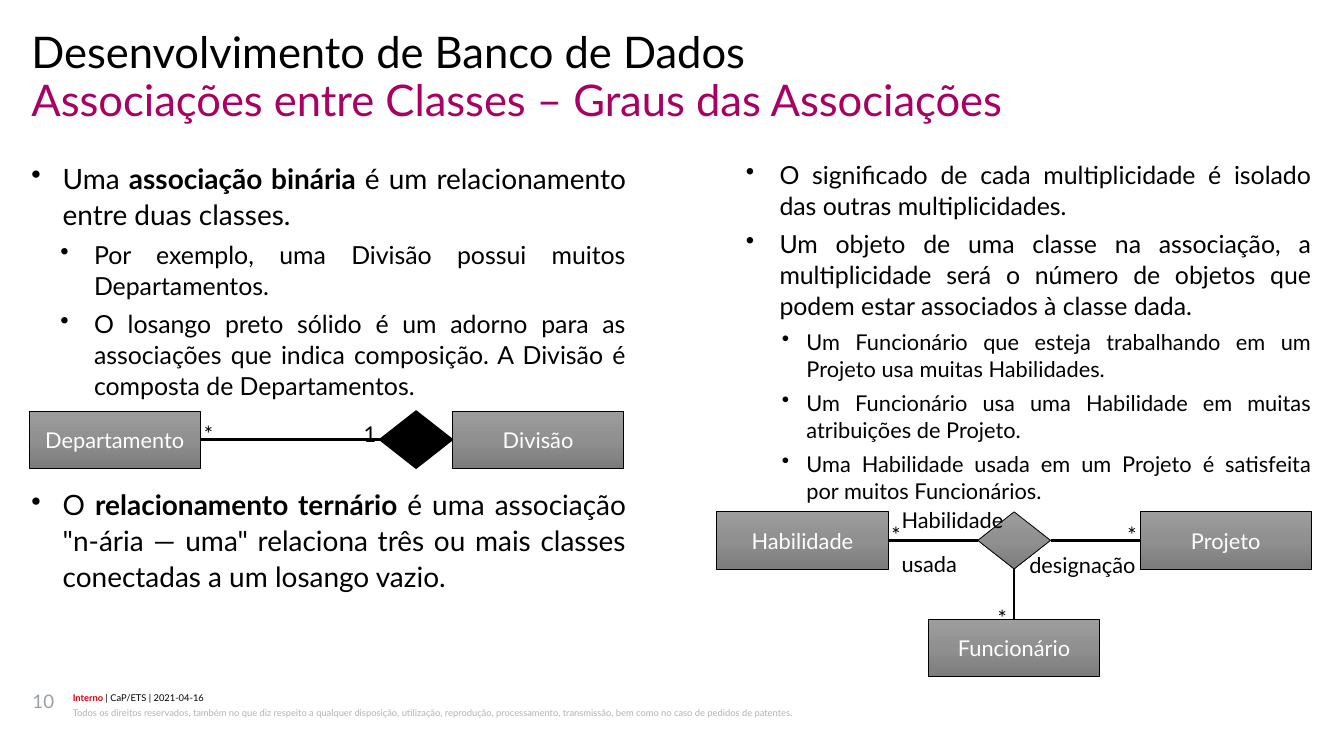
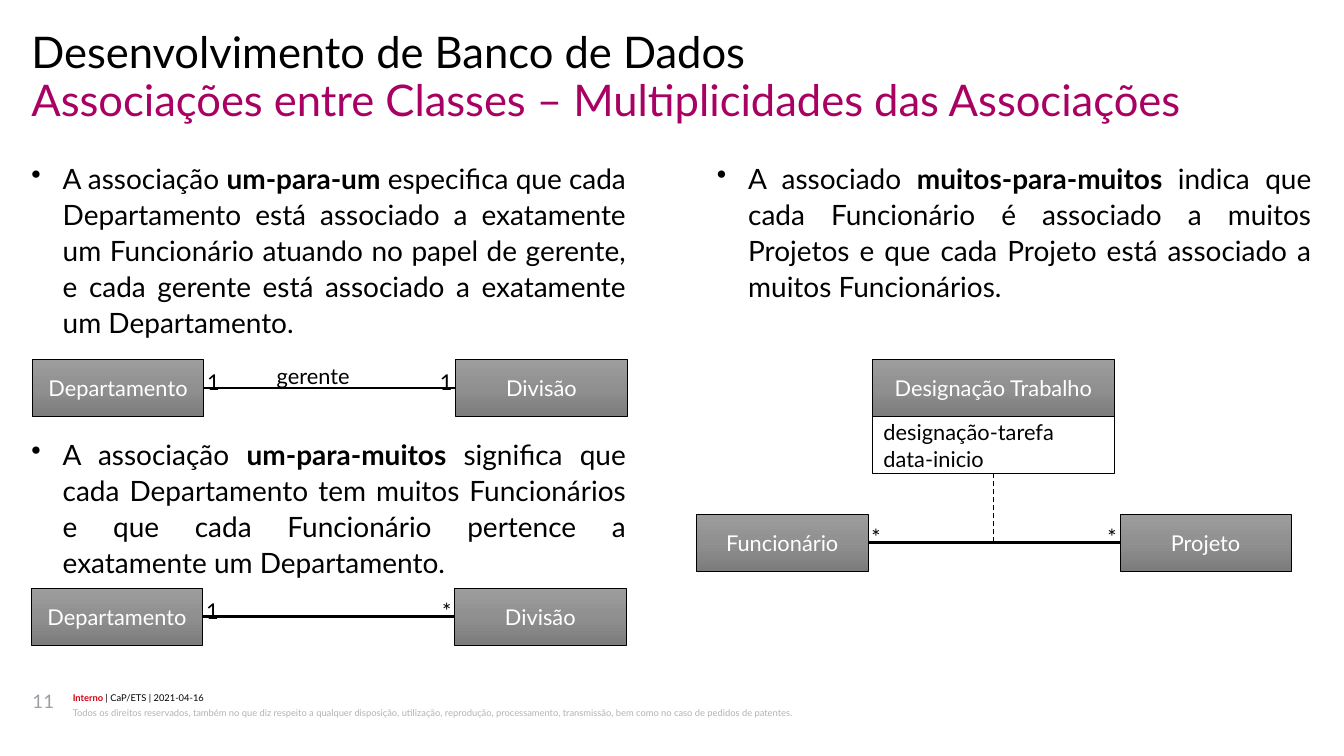
"""Build two slides on the degrees and multiplicities of class associations."""
from copy import deepcopy

from pptx import Presentation
from pptx.dml.color import RGBColor
from pptx.enum.dml import MSO_LINE
from pptx.enum.shapes import MSO_CONNECTOR, MSO_SHAPE as SHAPE
from pptx.enum.text import MSO_ANCHOR as ANCHOR, MSO_AUTO_SIZE, PP_ALIGN as ALIGN
from pptx.oxml.ns import qn
from pptx.util import Inches, Pt
from lxml import etree

FONT = "Lato"
BLACK, WHITE, MAGENTA, RED = "000000", "FFFFFF", "A80163", "D70012"
PAGE_GREY, NOTE_GREY = "999FA6", "B2B3B5"
GRADIENT = [(0, "9D9D9D"), (0.5, "909090"), (1, "7C7C7C")]

COURSE = "Desenvolvimento de Banco de Dados"
CLASSIFICATION = "**Interno** | CaP/ETS | 2021-04-16"
RIGHTS = ("Todos os direitos reservados, também no que diz respeito a qualquer disposição, "
          "utilização, reprodução, processamento, transmissão, bem como no caso de pedidos "
          "de patentes.")

# Body items: level, space before in points, text with **bold** parts
DEGREES = {
    "number": 10,
    "title": "Associações entre Classes – Graus das Associações",
    "left": [
        (0, 5, "Uma **associação binária **é um relacionamento entre duas classes."),
        (1, 5, "Por exemplo, uma Divisão possui muitos Departamentos."),
        (1, 5, "O losango preto sólido é um adorno para as associações que indica "
               "composição. A Divisão é composta de Departamentos."),
        (0, 55, "O **relacionamento ternário **é uma associação \"n-ária — uma\" relaciona "
                "três ou mais classes conectadas a um losango vazio."),
    ],
    "right": [
        (1, 5, "O significado de cada multiplicidade é isolado das outras multiplicidades."),
        (1, 5, "Um objeto de uma classe na associação, a multiplicidade será o número de "
               "objetos que podem estar associados à classe dada."),
        (2, 5, "Um Funcionário que esteja trabalhando em um Projeto usa muitas Habilidades."),
        (2, 5, "Um Funcionário usa uma Habilidade em muitas atribuições de Projeto."),
        (2, 5, "Uma Habilidade usada em um Projeto é satisfeita por muitos Funcionários."),
    ],
}
MULTIPLICITIES = {
    "number": 11,
    "title": "Associações entre Classes – Multiplicidades das Associações",
    "left": [
        (0, 5, "A associação **um-para-um** especifica que cada Departamento está associado "
               "a exatamente um Funcionário atuando no papel de gerente, e cada gerente está "
               "associado a exatamente um Departamento."),
        (0, 62, "A associação **um-para-muitos** significa que cada Departamento tem muitos "
                "Funcionários e que cada Funcionário pertence a exatamente um Departamento."),
    ],
    "right": [
        (0, 5, "A associado **muitos-para-muitos** indica que cada Funcionário é associado a "
               "muitos Projetos e que cada Projeto está associado a muitos Funcionários."),
    ],
}

# Per level: font size, left margin, hanging indent, line spacing
LEVELS = [(18, 0.28, 0.28, 1.07), (16, 0.56, 0.3, 1.03), (14, 0.8, 0.22, 1.02)]
LEFT, RIGHT, BODY_TOP, BODY_W, BODY_H = 0.28, 6.4, 1.42, 5.31, 4.56
TITLE_W, TITLE_H = 11.43, 0.43
BOX_W, BOX_H, PAIR_STEP = 1.53, 0.51, 3.78
DIAMOND_W, LABEL_W, LABEL_H, LABEL_GAP = 0.65, 0.36, 0.26, 0.03


def rgb(color):
    """Turn a hex string into a colour."""
    return RGBColor.from_string(color)


def place(sp, x, y, w, h):
    """Set the position and size of a shape in inches."""
    sp.left, sp.top, sp.width, sp.height = (Inches(v) for v in (x, y, w, h))


def style(p, size, color=BLACK, align=ALIGN.LEFT, spacing=None, before=0, after=0):
    """Format a whole paragraph."""
    p.font.name, p.font.size = FONT, Pt(size)
    p.font.color.rgb = rgb(color)
    p.alignment = align
    p.space_before, p.space_after = Pt(before), Pt(after)
    if spacing:
        p.line_spacing = spacing


def write(p, text, bold_color=None):
    """Fill a paragraph, with the parts between ** in bold."""
    for i, part in enumerate(text.split("**")):
        if part:
            r = p.add_run()
            r.text = part
            if i % 2:
                r.font.bold = True
                if bold_color:
                    r.font.color.rgb = rgb(bold_color)


def paragraphs(tf, count):
    """Return the given number of paragraphs of a text frame."""
    return [tf.paragraphs[0]] + [tf.add_paragraph() for _ in range(count - 1)]


def frame(sp, wrap=True):
    """Remove the margins of a shape and return its text frame."""
    tf = sp.text_frame
    tf.margin_left = tf.margin_right = tf.margin_top = tf.margin_bottom = 0
    tf.vertical_anchor, tf.auto_size = ANCHOR.TOP, MSO_AUTO_SIZE.NONE
    tf.word_wrap = wrap
    return tf


def text_box(s, x, y, w, h, lines, size, wrap=True, bold_color=None, **fmt):
    """Add a text box with one paragraph per line."""
    tf = frame(s.shapes.add_textbox(*(Inches(v) for v in (x, y, w, h))), wrap)
    for p, line in zip(paragraphs(tf, len(lines)), lines):
        write(p, line, bold_color)
        style(p, size, **fmt)


def body(s, x, items):
    """Add a column of justified bullets."""
    sp = s.shapes.add_textbox(Inches(x), Inches(BODY_TOP), Inches(BODY_W), Inches(BODY_H))
    for p, (level, before, text) in zip(paragraphs(frame(sp), len(items)), items):
        size, margin, hang, spacing = LEVELS[level]
        write(p, text)
        p.level = level
        style(p, size, align=ALIGN.JUSTIFY, spacing=spacing, before=before)
        pPr = p._p.get_or_add_pPr()
        pPr.set("marL", str(Inches(margin)))
        pPr.set("indent", str(-Inches(hang)))
        bullet = etree.Element(qn("a:buChar"), char="•")
        pPr.find(qn("a:defRPr")).addprevious(bullet)


def node(s, kind, x, y, w=BOX_W, lines=(), fill=None, color=WHITE,
         align=ALIGN.CENTER, line=0.5):
    """Add a class box or diamond, grey gradient unless a fill is given."""
    sp = s.shapes.add_shape(kind, Inches(x), Inches(y), Inches(w), Inches(BOX_H))
    sp.shadow.inherit = False
    sp.line.color.rgb, sp.line.width = rgb(BLACK), Pt(line)
    if fill:
        sp.fill.solid()
        sp.fill.fore_color.rgb = rgb(fill)
    else:
        sp.fill.gradient()
        sp.fill.gradient_angle = 270
        stops = sp._element.spPr.find(".//" + qn("a:gsLst"))
        stops.insert(1, deepcopy(stops[0]))
        for stop, (position, shade) in zip(sp.fill.gradient_stops, GRADIENT):
            stop.position, stop.color.rgb = position, rgb(shade)
    tf = sp.text_frame
    tf.vertical_anchor = ANCHOR.MIDDLE
    if lines:
        for p, text in zip(paragraphs(tf, len(lines)), lines):
            write(p, text)
            style(p, 14, color, align)
    return sp


def connect(s, start, end, width=1.5, dash=None):
    """Draw a line between two ends, each a (shape, site) pair or an (x, y) point."""
    c = s.shapes.add_connector(MSO_CONNECTOR.STRAIGHT, 0, 0, 0, 0)
    if isinstance(start[0], float):
        c.begin_x, c.begin_y = (Inches(v) for v in start)
    else:
        c.begin_connect(*start)
    c.end_connect(*end)
    c.line.color.rgb, c.line.width = rgb(BLACK), Pt(width)
    if dash:
        c.line.dash_style = dash
    etree.SubElement(c._element.spPr, qn("a:effectLst"))


def label(s, x, y, *lines, w=LABEL_W, h=LABEL_H, align=ALIGN.LEFT):
    """Add a multiplicity or role label."""
    text_box(s, x, y, w, h, lines, 14, wrap=False, align=align, spacing=Pt(23), before=5)


def association(s, x, y, names, marks, diamond=None, fill=None):
    """Draw two classes, their line and marks; return the diamond if one is asked for.

    A filled diamond sits against the right class, an empty one in the middle.
    """
    first, second = (node(s, SHAPE.RECTANGLE, x + i * PAIR_STEP, y, lines=[name])
                     for i, name in enumerate(names))
    right_edge = x + PAIR_STEP
    gem = None
    if diamond == "middle":
        gem = node(s, SHAPE.DIAMOND, x + (PAIR_STEP + BOX_W - DIAMOND_W) / 2, y, DIAMOND_W)
        connect(s, (first, 3), (gem, 1))
        connect(s, (gem, 3), (second, 1))
    else:
        connect(s, (first, 3), (second, 1))
    if diamond == "end":
        right_edge -= DIAMOND_W
        gem = node(s, SHAPE.DIAMOND, right_edge, y, DIAMOND_W, fill=fill, line=1)
    label(s, x + BOX_W + LABEL_GAP, y, marks[0])
    label(s, right_edge - LABEL_GAP - LABEL_W, y, marks[1], align=ALIGN.RIGHT)
    return gem


def base_slide(prs, content):
    """Add a slide with its titles, bullet columns and footer."""
    s = prs.slides.add_slide(prs.slide_layouts[5])
    text_box(s, 0.65, 6.17, 10.01, 0.12, [CLASSIFICATION], 6, bold_color=RED,
             spacing=1.07, after=1)
    text_box(s, 0.65, 6.29, 10.01, 0.24, [RIGHTS], 6, color=NOTE_GREY, spacing=1.2, after=1)
    text_box(s, 0.29, 6.16, 0.32, 0.45, [str(content["number"])], 12, color=PAGE_GREY)
    text_box(s, LEFT, 0.28, TITLE_W, TITLE_H, [COURSE], 28, spacing=0.89)
    title = s.shapes.title
    place(title, LEFT, 0.28 + TITLE_H, TITLE_W, TITLE_H)
    p = frame(title).paragraphs[0]
    write(p, content["title"])
    style(p, 28, MAGENTA, spacing=0.89)
    body(s, LEFT, content["left"])
    body(s, RIGHT, content["right"])
    return s


def degrees_slide(prs):
    """Build the slide on binary and ternary associations."""
    s = base_slide(prs, DEGREES)
    association(s, 0.26, 3.67, ("Departamento", "Divisão"), "*1", "end", BLACK)
    gem = association(s, RIGHT, 4.57, ("Habilidade", "Projeto"), "**", "middle")
    employee = node(s, SHAPE.RECTANGLE, RIGHT + PAIR_STEP / 2, 5.53, lines=["Funcionário"])
    connect(s, (employee, 0), (gem, 2))
    label(s, 8.63, 5.31, "*", align=ALIGN.RIGHT)
    label(s, 8.05, 4.44, "Habilidade", "usada", w=0.97, h=0.33)
    label(s, 9.19, 4.84, "designação", w=0.97, h=0.33)


def multiplicities_slide(prs):
    """Build the slide on one-to-one, one-to-many and many-to-many associations."""
    s = base_slide(prs, MULTIPLICITIES)
    association(s, 0.28, 5.25, ("Departamento", "Divisão"), "1*")
    association(s, 0.29, 3.21, ("Departamento", "Divisão"), "11")
    label(s, 2.47, 3.15, "gerente", w=0.97, h=0.33)
    association(s, 6.22, 4.59, ("Funcionário", "Projeto"), "**")
    node(s, SHAPE.RECTANGLE, 7.79, 3.21, 2.16, ["Designação Trabalho"])
    fields = node(s, SHAPE.RECTANGLE, 7.79, 3.21 + BOX_H, 2.16,
                  ["designação-tarefa", "data-inicio"], WHITE, BLACK, ALIGN.LEFT, 1)
    connect(s, (8.87, 4.84), (fields, 2), 0.75, MSO_LINE.DASH)


def main():
    """Build and save the presentation."""
    prs = Presentation()
    prs.slide_width, prs.slide_height = Inches(12), Inches(6.75)
    degrees_slide(prs)
    multiplicities_slide(prs)
    prs.save("out.pptx")


if __name__ == "__main__":
    main()
